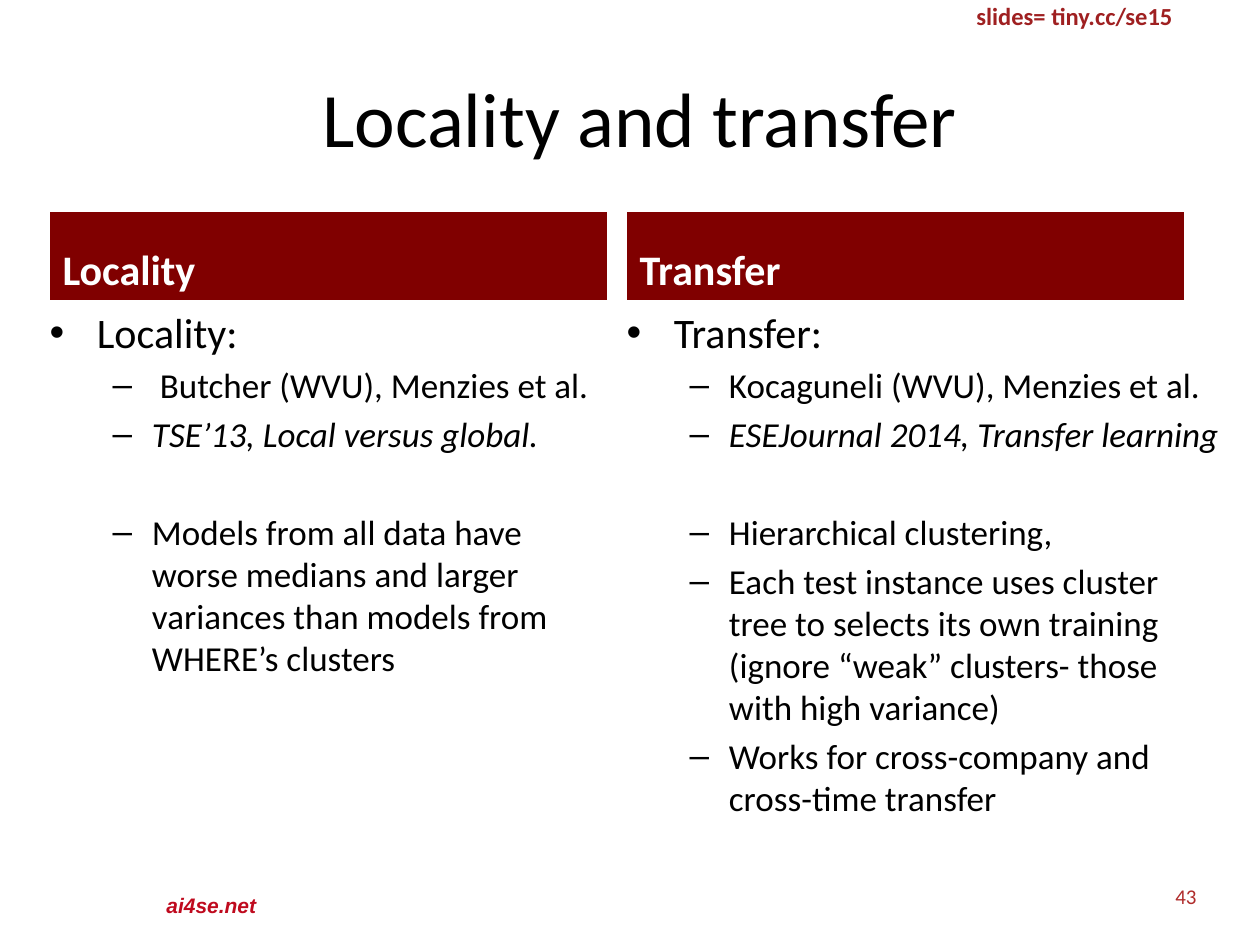
"""Build the slide that sets locality beside transfer."""
from dataclasses import dataclass
from pptx import Presentation
from pptx.dml.color import RGBColor
from pptx.enum.text import MSO_ANCHOR, MSO_AUTO_SIZE, PP_ALIGN
from pptx.util import Emu, Pt


@dataclass(frozen=True)
class Theme:
    face: str = "Calibri"
    mark: str = "Arial"
    ink: str = "000000"
    pale: str = "FFFFFF"
    band: str = "800000"
    link: str = "9F2021"
    site: str = "BF0A1E"
    page: str = "B02C2B"
    title: int = 44
    head: int = 24
    item: int = 20
    note: int = 14
    foot: int = 12


PX = 914400 / 126
look = Theme()


def place(shape, left, top, width, height, anchor=MSO_ANCHOR.TOP, wrap=True):
    shape.left, shape.top = Emu(round(left * PX)), Emu(round(top * PX))
    shape.width, shape.height = Emu(round(width * PX)), Emu(round(height * PX))
    frame = shape.text_frame
    frame.auto_size = MSO_AUTO_SIZE.NONE
    frame.word_wrap = wrap
    frame.vertical_anchor = anchor
    return frame


def write(frame, text, size, color=look.ink, face=look.face, bold=False,
          slant=False, align=PP_ALIGN.LEFT, level=0, before=0):
    first = frame.paragraphs[0]
    para = frame.add_paragraph() if first.runs else first
    para.level, para.alignment = level, align
    para.space_before = Pt(before)
    run = para.add_run()
    run.text = text
    font = run.font
    font.name, font.size = face, Pt(size)
    font.bold, font.italic = bold, slant
    font.color.rgb = RGBColor.from_string(color)


deck = Presentation()
deck.slide_width, deck.slide_height = Emu(round(1260 * PX)), Emu(round(945 * PX))
slide = deck.slides.add_slide(deck.slide_layouts[4])
title, *parts = slide.placeholders

frame = place(title, 73, 38, 1134, 158, MSO_ANCHOR.MIDDLE)
write(frame, "Locality and transfer", look.title, align=PP_ALIGN.CENTER)

# Each item holds its text, slant and space before.
columns = [
    ("Locality", 50, 37, 577, [
        (" Butcher (WVU), Menzies et al.", False, 4),
        ("TSE’13, Local versus global.", True, 4),
        ("Models from all data have worse medians and larger variances "
         "than models from WHERE’s clusters", False, 32),
    ]),
    ("Transfer", 627, 614, 620, [
        ("Kocaguneli (WVU), Menzies et al.", False, 4),
        ("ESEJournal 2014, Transfer learning", True, 4),
        ("Hierarchical clustering,", False, 32),
        ("Each test instance uses cluster tree to selects its own training "
         "(ignore “weak” clusters- those with high variance)", False, 4),
        ("Works for cross-company and cross-time transfer", False, 4),
    ]),
]
for (name, left, edge, width, items), head, body in zip(
        columns, parts[::2], parts[1::2]):
    frame = place(head, left, 212, 557, 88, MSO_ANCHOR.BOTTOM)
    head.fill.solid()
    head.fill.fore_color.rgb = RGBColor.from_string(look.band)
    write(frame, name, look.head, look.pale, bold=True)
    frame = place(body, edge, 300, width, 544)
    write(frame, name + ":", look.head)
    for text, slant, gap in items:
        write(frame, text, look.item, slant=slant, level=1, before=gap)

labels = [
    ("slides= tiny.cc/se15", (964, -5, 299, 43), MSO_ANCHOR.TOP, True,
     dict(size=look.note, color=look.link, bold=True)),
    ("ai4se.net", (154, 886, 121, 38), MSO_ANCHOR.TOP, False,
     dict(size=look.foot, color=look.site, face=look.mark, bold=True, slant=True)),
    ("43", (915, 871, 294, 50), MSO_ANCHOR.MIDDLE, True,
     dict(size=look.foot, color=look.page, align=PP_ALIGN.RIGHT)),
]
for text, area, anchor, wrap, style in labels:
    box = slide.shapes.add_textbox(0, 0, 0, 0)
    write(place(box, *area, anchor, wrap), text, **style)

deck.save("out.pptx")
